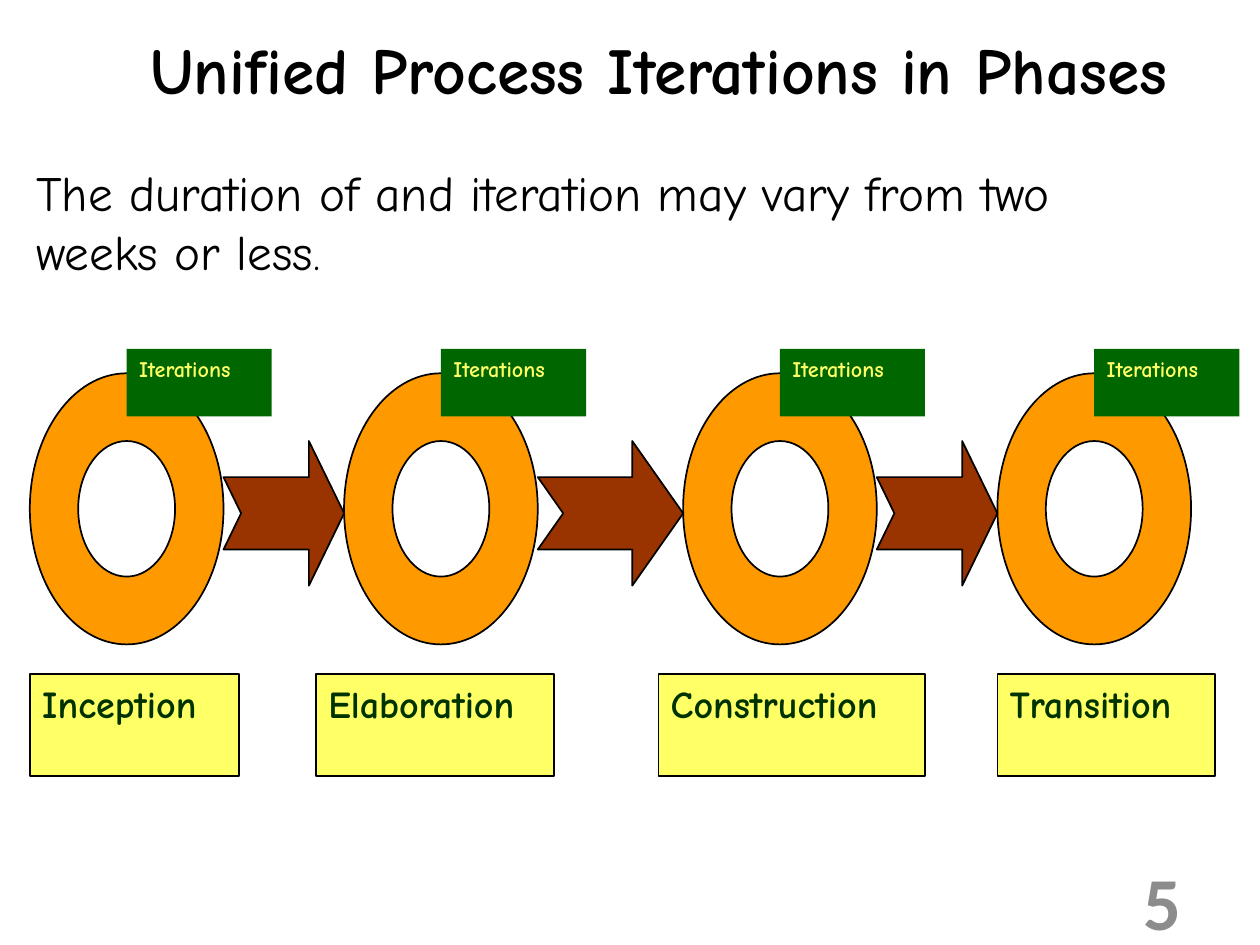
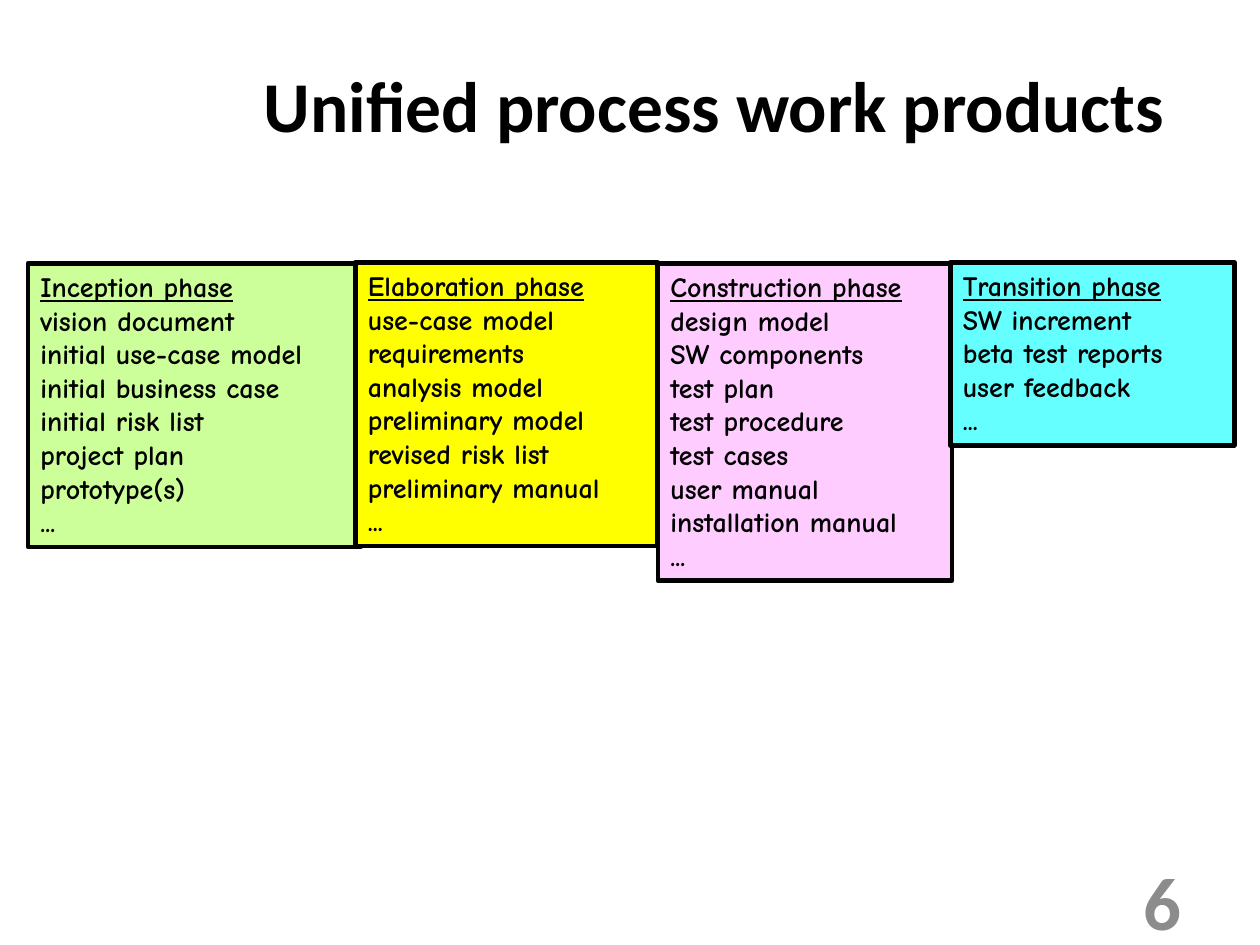
from math import sqrt

from lxml import etree
from pptx import Presentation
from pptx.dml.color import RGBColor
from pptx.enum.shapes import MSO_SHAPE
from pptx.enum.text import MSO_ANCHOR, MSO_AUTO_SIZE, PP_ALIGN
from pptx.oxml.ns import qn
from pptx.util import Pt

BLACK = RGBColor(0x00, 0x00, 0x00)
GRAY = RGBColor(0x8C, 0x8C, 0x8C)
ORANGE = RGBColor(0xFF, 0x99, 0x00)
BROWN = RGBColor(0x99, 0x33, 0x00)
YELLOW = RGBColor(0xFF, 0xFF, 0x66)
GREEN = RGBColor(0x00, 0x66, 0x00)
DARK = RGBColor(0x00, 0x33, 0x00)
LIME = RGBColor(0xCC, 0xFF, 0x99)
BRIGHT = RGBColor(0xFF, 0xFF, 0x00)
PINK = RGBColor(0xFF, 0xCC, 0xFF)
CYAN = RGBColor(0x66, 0xFF, 0xFF)
COMIC, SANS = "Comic Neue", "Calibri"

INTRO = [("The duration of and iteration may vary from two weeks or less", {}),
         (".", {"size": 17.7})]

# name, ring left, label left, label width
PHASES = [
    ("Inception", 12.8, 12.8, 89.8),
    ("Elaboration", 147.5, 135.4, 102),
    ("Construction", 292.8, 282.2, 114.3),
    ("Transition", 427.5, 427.5, 93.4),
]

# heading, left, top, width, fill, work products
PRODUCTS = [
    ("Inception phase", 12, 112.8, 142.6, LIME,
     ["vision document", "initial use-case model", "initial business case",
      "initial risk list", "project plan", "prototype(s)", "..."]),
    ("Elaboration phase", 152.4, 112.4, 129.6, BRIGHT,
     ["use-case model", "requirements", "analysis model",
      "preliminary model", "revised risk list", "preliminary manual", "..."]),
    ("Construction phase", 282, 112.8, 126, PINK,
     ["design model", "SW components", "test plan", "test procedure",
      "test cases", "user manual", "installation manual", "..."]),
    ("Transition phase", 407.3, 112.4, 121.7, CYAN,
     ["SW increment", "beta test reports", "user feedback", "..."]),
]

RING_W, RING_H, RING_TOP = 83, 116.2, 160
ARROW_H, ARROW_TOP = 62, 189
TAG_W, TAG_H, TAG_TOP = 62.2, 29, 149.5
LABEL_H, LABEL_TOP = 43.7, 289
LINE_H, LIST_PAD = 14.4, 6.5
PAD_X, PAD_Y = 5.3, 2.7
BEND = 4 * (sqrt(2) - 1) / 3


def write(shape, lines, size, font=COMIC, color=BLACK, bold=False,
          align=PP_ALIGN.LEFT, anchor=MSO_ANCHOR.TOP, spacing=None, pad=PAD_X):
    """Fill a shape with lines; a line is a string or a list of (text, changes)."""
    frame = shape.text_frame
    frame.word_wrap = True
    frame.auto_size = MSO_AUTO_SIZE.NONE
    frame.vertical_anchor = anchor
    frame.margin_left = frame.margin_right = Pt(pad)
    frame.margin_top = frame.margin_bottom = Pt(PAD_Y)
    for i, line in enumerate(lines):
        para = frame.add_paragraph() if i else frame.paragraphs[0]
        para.alignment = align
        if spacing:
            para.line_spacing = spacing
        for text, change in [(line, {})] if isinstance(line, str) else line:
            run = para.add_run()
            run.text = text
            run.font.name = font
            run.font.size = Pt(change.get("size", size))
            run.font.bold = bold
            run.font.underline = change.get("underline", False)
            run.font.color.rgb = color


def paint(shape, fill, width=0.75):
    shape.shadow.inherit = False
    shape.fill.solid()
    shape.fill.fore_color.rgb = fill
    if width:
        shape.line.color.rgb = BLACK
        shape.line.width = Pt(width)
    else:
        shape.line.fill.background()


def add_box(slide, kind, box, fill, width=0.75):
    shape = slide.shapes.add_shape(kind, *map(Pt, box))
    paint(shape, fill, width)
    return shape


def add_text(slide, box, lines, **style):
    write(slide.shapes.add_textbox(*map(Pt, box)), lines, **style)


def curve(shape):
    """Turn each three line segments of a freeform into one Bezier curve."""
    legs = list(shape.element.iter(qn("a:lnTo")))
    for i in range(0, len(legs), 3):
        bend = etree.Element(qn("a:cubicBezTo"))
        legs[i].addprevious(bend)
        for leg in legs[i:i + 3]:
            bend.append(leg[0])
            leg.getparent().remove(leg)


def add_ring(slide, left):
    """Draw an oval ring whose hole has half its width and height."""
    mid_x, mid_y = left + RING_W / 2, RING_TOP + RING_H / 2

    def oval(scale, turn):
        """Start at the left, then give two handles and an end per quarter."""
        spots = [(-1, 0)]
        x, y = -1, 0
        for _ in range(4):
            nx, ny = -turn * y, turn * x
            spots += [(x + BEND * nx, y + BEND * ny),
                      (nx + BEND * x, ny + BEND * y), (nx, ny)]
            x, y = nx, ny
        return [(Pt(mid_x + scale * RING_W / 2 * px),
                 Pt(mid_y + scale * RING_H / 2 * py)) for px, py in spots]

    outer, inner = oval(1, 1), oval(0.5, -1)
    pen = slide.shapes.build_freeform(*outer[0])
    pen.add_line_segments(outer[1:], close=True)
    pen.move_to(*inner[0])
    pen.add_line_segments(inner[1:], close=True)
    ring = pen.convert_to_shape()
    curve(ring)
    paint(ring, ORANGE)


def add_page(deck, title, box, **style):
    slide = deck.slides.add_slide(deck.slide_layouts[5])
    head = slide.shapes.title
    head.left, head.top, head.width, head.height = map(Pt, box)
    write(head, [title], bold=True, align=PP_ALIGN.CENTER, **style)
    return slide


def add_number(slide, number):
    add_text(slide, (387.4, 375, 126, 21.8), [str(number)], size=32, font=SANS,
             color=GRAY, bold=True, align=PP_ALIGN.RIGHT,
             anchor=MSO_ANCHOR.MIDDLE, pad=7.2)


def add_phases(deck):
    slide = add_page(deck, "Unified Process Iterations in Phases",
                     (18.7, 14, 527, 35.3), size=28,
                     anchor=MSO_ANCHOR.BOTTOM, spacing=0.88)
    add_text(slide, (10.2, 66.8, 502.6, 67), [INTRO], size=21.1)
    lefts = [left for _, left, _, _ in PHASES]
    for left in lefts:
        add_ring(slide, left)
    for left, after in zip(lefts, lefts[1:]):
        start = left + RING_W
        gap = after - start
        arrow = add_box(slide, MSO_SHAPE.NOTCHED_RIGHT_ARROW,
                        (start, ARROW_TOP, gap, ARROW_H), BROWN)
        arrow.adjustments[0] = 0.5
        arrow.adjustments[1] = 0.35 * gap / ARROW_H
    for name, _, left, width in PHASES:
        label = add_box(slide, MSO_SHAPE.RECTANGLE,
                        (left, LABEL_TOP, width, LABEL_H), YELLOW)
        write(label, [name], size=16.3, color=DARK, bold=True)
    for left in lefts:
        tag = add_box(slide, MSO_SHAPE.RECTANGLE,
                      (left + RING_W / 2, TAG_TOP, TAG_W, TAG_H), GREEN, 0)
        write(tag, ["Iterations"], size=9.5, color=YELLOW, bold=True)
    add_number(slide, 5)


def add_products(deck):
    slide = add_page(deck, "Unified process work products",
                     (-18, 10.8, 648, 67.5), size=30.6, font=SANS,
                     anchor=MSO_ANCHOR.MIDDLE)
    for heading, left, top, width, fill, items in PRODUCTS:
        lines = [[(heading, {"underline": True})]] + items
        height = LINE_H * len(lines) + LIST_PAD
        card = add_box(slide, MSO_SHAPE.RECTANGLE,
                       (left, top, width, height), fill, 2)
        write(card, lines, size=12, bold=True)
    add_number(slide, 6)


def main():
    deck = Presentation()
    deck.slide_width, deck.slide_height = Pt(540), Pt(405)
    add_phases(deck)
    add_products(deck)
    deck.save("out.pptx")


if __name__ == "__main__":
    main()
